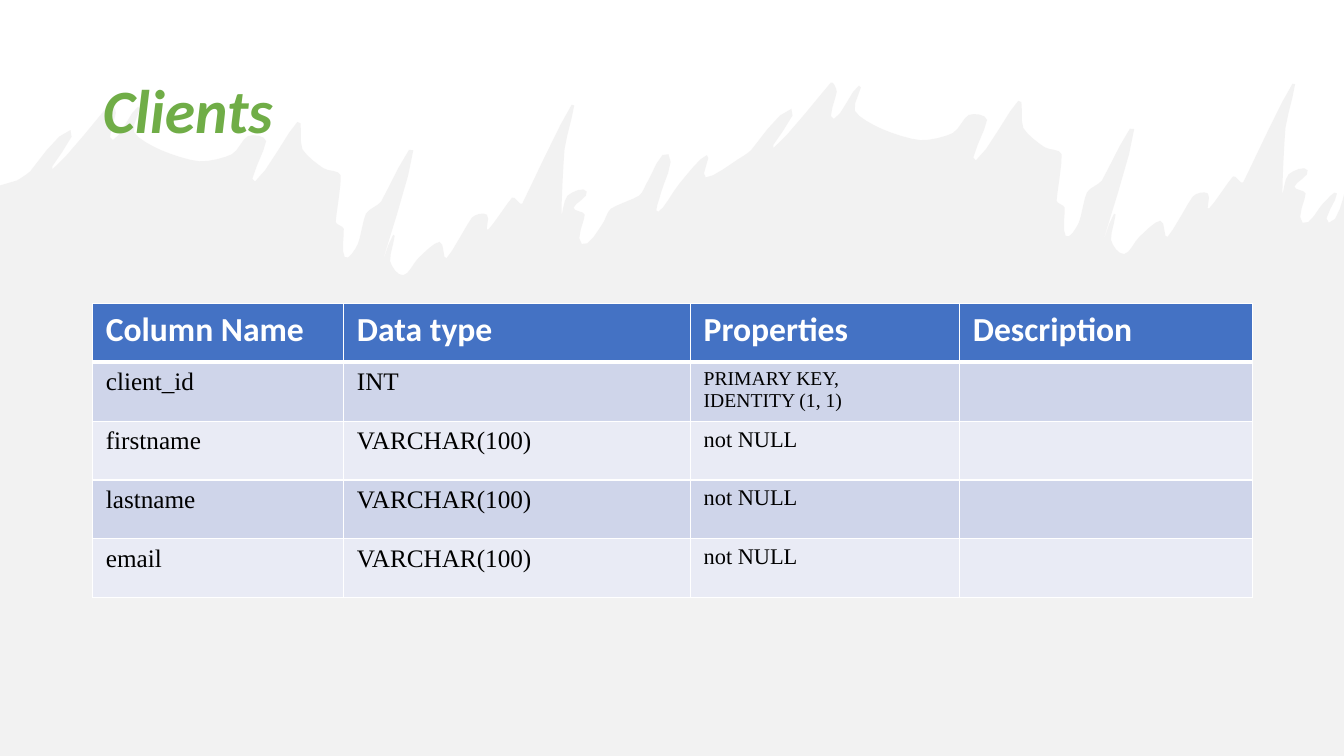
import math

from pptx import Presentation, util as u
from pptx.dml.color import RGBColor
from pptx.enum import text
from pptx.oxml import ns
from lxml import etree

SLIDE_W, SLIDE_H = 13.33, 7.5
WAVE_DX, WAVE_DY = 7.15, -0.21
CURVE_STEPS = 4
RIDGE = [
    (0.17, 1.79), (0.3, 1.7), (0.7, 1.29), (0.52, 1.68), (1.09, 1.03), (1.15, 1.12),
    (1.12, 1.39), (1.37, 1.06), (1.33, 1.31), (1.6, 1.49), (1.98, 1.6), (2.3, 1.53),
    (2.46, 1.35), (2.64, 1.4), (2.53, 1.8), (2.95, 1.21), (3.0, 1.48), (3.21, 1.67),
    (3.38, 1.74), (3.33, 2.2), (3.41, 2.27), (3.42, 2.55), (3.55, 2.42), (3.63, 2.12),
    (3.78, 2.0), (4.1, 1.49), (3.76, 2.71), (3.9, 2.33), (3.87, 2.59), (4.0, 2.73),
    (4.15, 2.56), (4.36, 2.4), (4.43, 2.56), (4.68, 2.16), (4.83, 2.13), (4.84, 2.28),
    (5.08, 1.96), (5.18, 2.02), (5.67, 1.04), (5.6, 1.48), (5.57, 2.12), (5.63, 1.94),
    (5.82, 1.9), (5.69, 2.06), (5.8, 2.13), (5.77, 2.42), (5.97, 2.23),
]
SADDLE = [
    (6.06, 2.07), (6.34, 1.94), (6.43, 1.79), (6.63, 1.53), (6.56, 1.9), (6.53, 2.1),
    (6.74, 1.82), (7.01, 1.54), (7.0, 1.76),
]
EDGE = [(13.26, 1.92), (13.18, 2.21), (13.33, 1.93)]
HEADERS = ["Column Name", "Data type", "Properties", "Description"]
FIELDS = [
    ["client_id", "INT", "PRIMARY KEY,\nIDENTITY (1, 1)", ""],
    ["firstname", "VARCHAR(100)", "not NULL", ""],
    ["lastname", "VARCHAR(100)", "not NULL", ""],
    ["email", "VARCHAR(100)", "not NULL", ""],
]
COL_WIDTHS = [2.49, 3.44, 2.67, 2.9]


def color(hex_value):
    return RGBColor.from_string(hex_value)


def style_font(p, name, size, hex_value, bold=False, italic=False):
    for r in p.runs:
        f = r.font
        f.name, f.size, f.bold, f.italic = name, u.Pt(size), bold, italic
        f.color.rgb = color(hex_value)


def handle(before, point, after):
    reach = 0.3 * min(math.dist(before, point), math.dist(point, after))
    span = math.dist(before, after) or 1
    return [reach * (b - a) / span for a, b in zip(before, after)]


def smooth(points):
    padded = [points[0], *points, points[-1]]
    handles = [handle(*padded[i:i + 3]) for i in range(len(points))]
    curve = [points[0]]
    for i in range(len(points) - 1):
        for step in range(1, CURVE_STEPS + 1):
            t = step / CURVE_STEPS
            weights = ((1 - t) ** 3, 3 * t * (1 - t) ** 2, 3 * t * t * (1 - t), t ** 3)
            curve.append([
                sum(w * c for w, c in zip(weights, (a, a + out, b - back, b)))
                for a, b, out, back in zip(points[i], points[i + 1], handles[i], handles[i + 1])
            ])
    return curve


def add_torn_backdrop(slide, left, top, width, height):
    next_ridge = [(x + WAVE_DX, y + WAVE_DY) for x, y in RIDGE]
    outline = [(0, 1.84), *smooth(RIDGE + SADDLE + next_ridge + EDGE),
               (width, height), (0, height)]
    points = [(u.Inches(left + x), u.Inches(top + y)) for x, y in outline]
    builder = slide.shapes.build_freeform(*points[0])
    builder.add_line_segments(points[1:], close=True)
    sp = builder.convert_to_shape()
    sp.shadow.inherit = False
    sp.line.fill.background()
    sp.fill.solid()
    sp.fill.fore_color.rgb = color("E7E6E6")
    srgb = sp._element.spPr.find(".//" + ns.qn("a:srgbClr"))
    etree.SubElement(srgb, ns.qn("a:alpha"), val="50000")
    slide.shapes._spTree.insert(2, sp._element)


def add_title(slide, left, top, width, height):
    sp = slide.shapes.title
    sp.left, sp.top, sp.width, sp.height = map(u.Inches, (left, top, width, height))
    tf = sp.text_frame
    tf.text = "Clients"
    tf.vertical_anchor = text.MSO_ANCHOR.MIDDLE
    p = tf.paragraphs[0]
    p.alignment = text.PP_ALIGN.LEFT
    p.line_spacing = 0.9
    style_font(p, "Calibri", 44, "70AD47", bold=True, italic=True)


def set_borders(cell, row):
    widths = {"L": 1, "R": 1, "T": 3 if row == 1 else 1, "B": 3 if row == 0 else 1}
    for side, points in widths.items():
        ln = etree.SubElement(cell._tc.get_or_add_tcPr(), ns.qn("a:ln" + side),
                              w=str(u.Pt(points)))
        fill = etree.SubElement(ln, ns.qn("a:solidFill"))
        etree.SubElement(fill, ns.qn("a:srgbClr"), val="FFFFFF")


def fill_cell(cell, row, col, value):
    set_borders(cell, row)
    cell.fill.solid()
    band = "CFD5EA" if row % 2 else "E9EBF5"
    cell.fill.fore_color.rgb = color("4472C4" if row == 0 else band)
    cell.margin_left = cell.margin_right = u.Inches(0.13)
    cell.margin_top = cell.margin_bottom = u.Inches(0.06)
    cell.text_frame.text = value
    for p in cell.text_frame.paragraphs:
        if row == 0:
            style_font(p, "Calibri", 24, "FFFFFF", bold=True)
        else:
            size = 18 if col < 2 else 14 if "\n" in value else 16
            style_font(p, "Times New Roman", size, "000000")


def add_field_table(slide, left, top, width, height):
    rows = [HEADERS] + FIELDS
    frame = slide.shapes.add_table(len(rows), len(HEADERS),
                                   *map(u.Inches, (left, top, width, height)))
    table = frame.table
    for column, share in zip(table.columns, COL_WIDTHS):
        column.width = u.Inches(width * share / sum(COL_WIDTHS))
    for i, values in enumerate(rows):
        for j, value in enumerate(values):
            fill_cell(table.cell(i, j), i, j, value)


def main():
    prs = Presentation()
    prs.slide_width, prs.slide_height = u.Inches(SLIDE_W), u.Inches(SLIDE_H)
    slide = prs.slides.add_slide(prs.slide_layouts[5])
    add_torn_backdrop(slide, 0, 0, SLIDE_W, SLIDE_H)
    add_title(slide, 0.92, 0.4, 11.5, 1.45)
    add_field_table(slide, 0.92, 3.01, 11.5, 2.92)
    prs.save("out.pptx")


if __name__ == "__main__":
    main()
